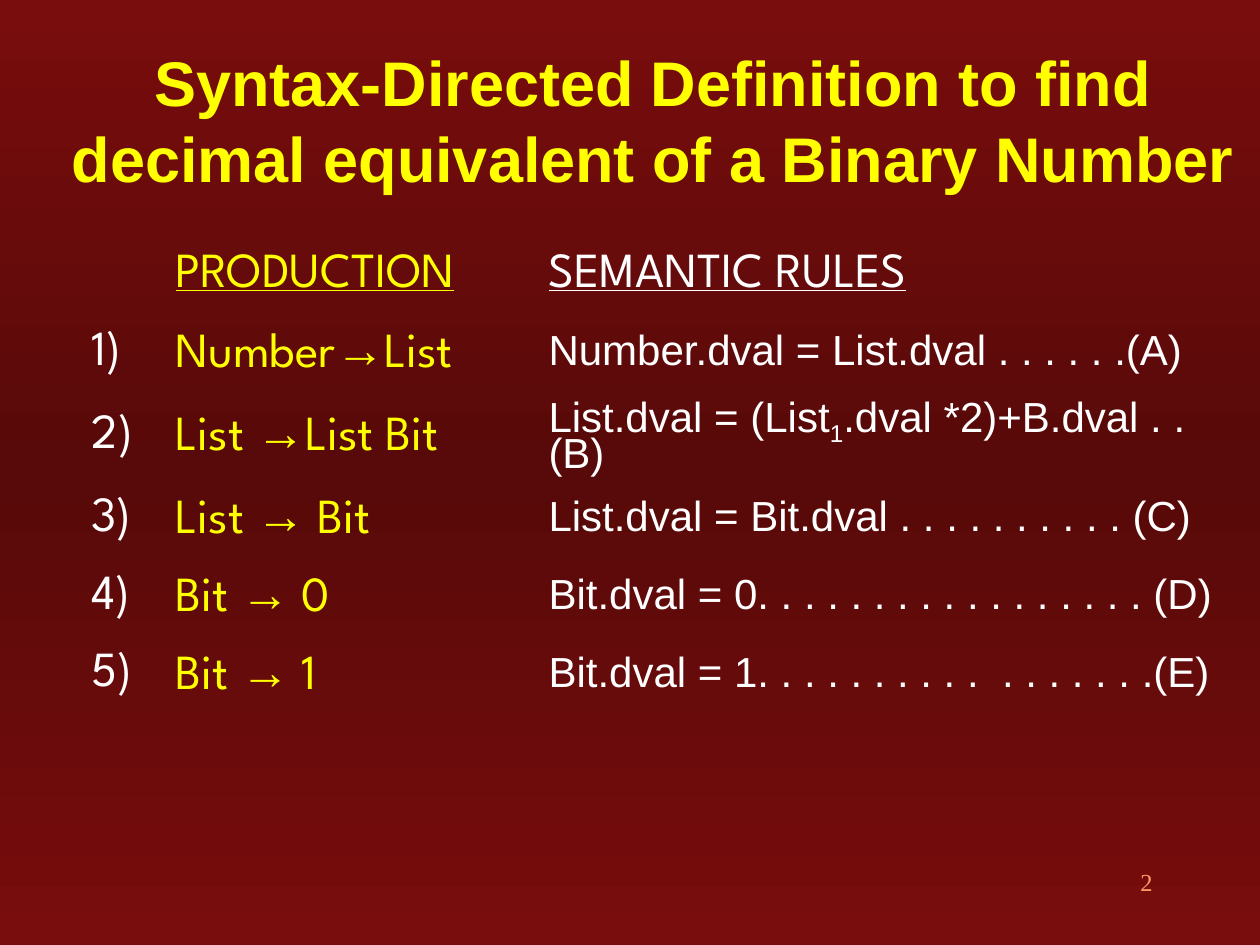
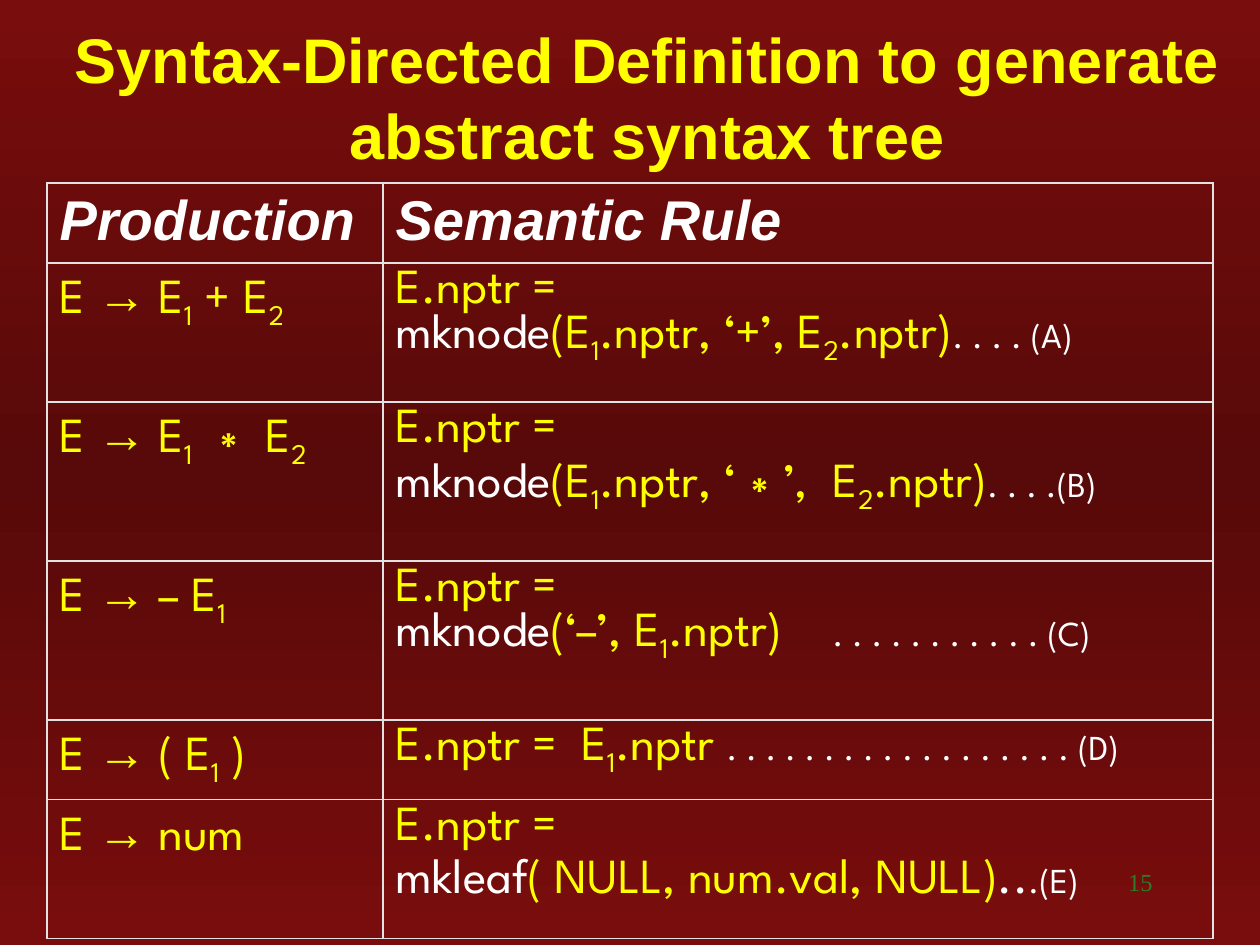
from copy import deepcopy
from itertools import groupby

from lxml import etree
from pptx import Presentation
from pptx import util as u
from pptx.dml.color import RGBColor
from pptx.enum import text
from pptx.oxml.ns import qn

SCALE = 914400 / 126
DARK_RED = RGBColor(0x79, 0x0D, 0x0D)
DEEP_RED = RGBColor(0x58, 0x09, 0x09)
YELLOW = RGBColor(0xFF, 0xFF, 0x00)
WHITE = RGBColor(0xFF, 0xFF, 0xFF)
ORANGE = RGBColor(0xFF, 0x99, 0x66)
GREEN = RGBColor(0x2B, 0x7D, 0x27)
GRID = RGBColor(0xE2, 0xE2, 0xE2)

SANS, BODY, SERIF = "Arial", "League Spartan", "Times New Roman"
NO_STYLE = "{2D5ABB26-0587-4C30-8999-92F81FD0307C}"
SYMBOLS = "→∗"
SUBSCRIPTS = {"₁": "1", "₂": "2"}

TITLE = dict(name=SANS, size=u.Pt(36), bold=True, color=YELLOW)
HEADING = dict(name=SANS, size=u.Pt(32), bold=True, italic=True, color=WHITE)
GRAMMAR = dict(name=BODY, size=u.Pt(28), color=YELLOW)
CALL = dict(GRAMMAR, color=WHITE)
LABEL = dict(CALL, size=u.Pt(20))
RULE = dict(name=SANS, size=u.Pt(24), color=WHITE)
NUMBER = dict(name=SERIF, size=u.Pt(14))


def px(length):
    return u.Emu(round(length * SCALE))


def char_kind(char):
    if char in SUBSCRIPTS:
        return "subscript"
    if char in SYMBOLS:
        return "symbol"
    return "break" if char == "\n" else "plain"


class Deck:
    def __init__(self):
        self.prs = Presentation()
        self.prs.slide_width, self.prs.slide_height = px(1260), px(945)
        self.slide = None
        self.paint_background()

    def paint_background(self):
        master = self.prs.slide_master
        fill = master.background.fill
        fill.gradient()
        stop_list = master.element.xpath(".//p:bg//a:gsLst")[0]
        stop_list.append(deepcopy(stop_list[-1]))
        colors = (DARK_RED, DEEP_RED, DARK_RED)
        for stop, color, place in zip(fill.gradient_stops, colors, (0, 0.5, 1)):
            stop.color.rgb = color
            stop.position = place
        fill.gradient_angle = 270

    def start_slide(self):
        self.slide = self.prs.slides.add_slide(self.prs.slide_layouts[5])

    def apply(self, target, values):
        for key, value in values.items():
            if key == "color":
                target.color.rgb = value
            else:
                setattr(target, key, value)

    def add_runs(self, paragraph, content, style):
        for kind, chars in groupby(content, char_kind):
            if kind == "break":
                paragraph.add_line_break()
                continue
            run = paragraph.add_run()
            run.text = "".join(SUBSCRIPTS.get(char, char) for char in chars)
            self.apply(run.font, style)
            if kind == "symbol":
                run.font.name = SANS
            elif kind == "subscript":
                run.font._element.set("baseline", "-25000")

    def title(self, content, left, top):
        heading = self.slide.shapes.title
        self.apply(heading, dict(left=px(left), top=px(top), width=px(1200), height=px(151)))
        frame = heading.text_frame
        self.apply(frame, dict(
            margin_left=0, margin_right=0, margin_top=0, margin_bottom=0, word_wrap=True,
            auto_size=text.MSO_AUTO_SIZE.NONE, vertical_anchor=text.MSO_ANCHOR.MIDDLE))
        paragraph = frame.paragraphs[0]
        paragraph.alignment = text.PP_ALIGN.CENTER
        self.add_runs(paragraph, content, TITLE)
        for run in paragraph.runs:
            fill = run.font._element.find(qn("a:solidFill"))
            effects = etree.Element(qn("a:effectLst"))
            fill.addnext(effects)
            shadow = etree.SubElement(effects, qn("a:outerShdw"), dist="17780", dir="2700000")
            etree.SubElement(shadow, qn("a:srgbClr"), val=str(GRID))

    def page_number(self, content, color):
        frame = self.slide.shapes.add_textbox(px(903), px(861), px(262), px(63)).text_frame
        frame.word_wrap = True
        paragraph = frame.paragraphs[0]
        paragraph.alignment = text.PP_ALIGN.RIGHT
        self.add_runs(paragraph, content, dict(NUMBER, color=color))

    def table(self, left, top, widths, heights, rows, layout, anchor, grid=False, tab=None):
        frame = self.slide.shapes.add_table(
            len(heights), len(widths), px(left), px(top), px(sum(widths)), px(sum(heights)))
        table = frame.table
        self.apply(table, dict(first_row=False, horz_banding=False))
        frame._element.xpath(".//a:tableStyleId")[0].text = NO_STYLE
        for column, width in zip(table.columns, widths):
            column.width = px(width)
        for row, height in zip(table.rows, heights):
            row.height = px(height)
        for r, row in enumerate(rows):
            for c, paragraphs in enumerate(row):
                cell = table.cell(r, c)
                cell.vertical_anchor = anchor
                if grid:
                    self.outline(cell)
                cell.fill.background()
                self.fill_cell(cell, paragraphs, layout, tab)

    def fill_cell(self, cell, paragraphs, layout, tab):
        frame = cell.text_frame
        for index, runs in enumerate(paragraphs):
            paragraph = frame.add_paragraph() if index else frame.paragraphs[0]
            self.apply(paragraph, layout)
            if index:
                paragraph.space_before = u.Pt(5)
            properties = paragraph._p.get_or_add_pPr()
            if layout:
                properties.set("marL", str(px(13)))
            if tab and any("\t" in content for content, _ in runs):
                tabs = etree.SubElement(properties, qn("a:tabLst"))
                etree.SubElement(tabs, qn("a:tab"), pos=str(px(tab)), algn="l")
            for content, style in runs:
                self.add_runs(paragraph, content, style)

    def outline(self, cell):
        properties = cell._tc.get_or_add_tcPr()
        for side in ("lnL", "lnR", "lnT", "lnB"):
            line = etree.SubElement(properties, qn(f"a:{side}"), w=str(u.Pt(1.08)))
            paint = etree.SubElement(line, qn("a:solidFill"))
            etree.SubElement(paint, qn("a:srgbClr"), val=str(GRID))


def binary_number_slide(deck):
    productions = [
        ("Number→List", "Number.dval = List.dval . . . . . .(A)"),
        ("List →List Bit", "List.dval = (List₁.dval *2)+B.dval . .(B)"),
        ("List → Bit", "List.dval = Bit.dval . . . . . . . . . . (C)"),
        ("Bit → 0", "Bit.dval = 0. . . . . . . . . . . . . . . . . (D)"),
        ("Bit → 1", "Bit.dval = 1. . . . . . . . . .  . . . . . . .(E)"),
    ]
    rows = [[[], [[("PRODUCTION", dict(GRAMMAR, underline=True))]],
             [[("SEMANTIC RULES", dict(CALL, underline=True))]]]]
    for order, (production, rule) in enumerate(productions, 1):
        rows.append([[[(f"{order})", CALL)]], [[(production, GRAMMAR)]], [[(rule, RULE)]]])

    deck.start_slide()
    deck.table(66, 238, (84, 373, 718), [78] * 6, rows,
               dict(line_spacing=0.75), text.MSO_ANCHOR.MIDDLE)
    deck.page_number("2", ORANGE)
    deck.title("Syntax-Directed Deﬁnition to find decimal equivalent of a Binary Number", 53, 44)


def syntax_tree_slide(deck):
    target = ("E.nptr = \n", GRAMMAR)
    mknode = ("mknode", CALL)
    rules = [
        ("E → E₁ + E₂",
         [[target, mknode, ("(E₁.nptr, ‘+’, E₂.nptr)", GRAMMAR), (". . . . (A)", LABEL)]]),
        ("E → E₁ ∗ E₂",
         [[target, mknode, ("(E₁.nptr, ‘∗’,  E₂.nptr)", GRAMMAR), (". . . .(B)", LABEL)]]),
        ("E → – E₁",
         [[target, mknode, ("(‘–’, E₁.nptr)\t", GRAMMAR),
           (". . . . . . . . . . . (C)", LABEL)]]),
        ("E → ( E₁ )",
         [[("E.nptr =  E₁.nptr ", GRAMMAR),
           (". . . . . . . . . . . . . . . . . . (D)", LABEL)]]),
        ("E → num",
         [[("E.nptr =", GRAMMAR)],
          [("mkleaf", CALL), ("( NULL, num.val, NULL)", GRAMMAR),
           ("..", CALL), (".(E)", LABEL)]]),
    ]
    rows = [[[[(name, HEADING)]] for name in ("Production", "Semantic Rule")]]
    rows += [[[[(production, GRAMMAR)]], rule] for production, rule in rules]

    deck.start_slide()
    deck.page_number("15", GREEN)
    deck.table(47, 183, (336, 830), (80, 139, 159, 159, 79, 139), rows,
               {}, text.MSO_ANCHOR.TOP, grid=True, tab=437)
    deck.title("Syntax-Directed Deﬁnition to generate abstract syntax tree", 47, 21)


def main():
    deck = Deck()
    binary_number_slide(deck)
    syntax_tree_slide(deck)
    deck.prs.save("out.pptx")


if __name__ == "__main__":
    main()
